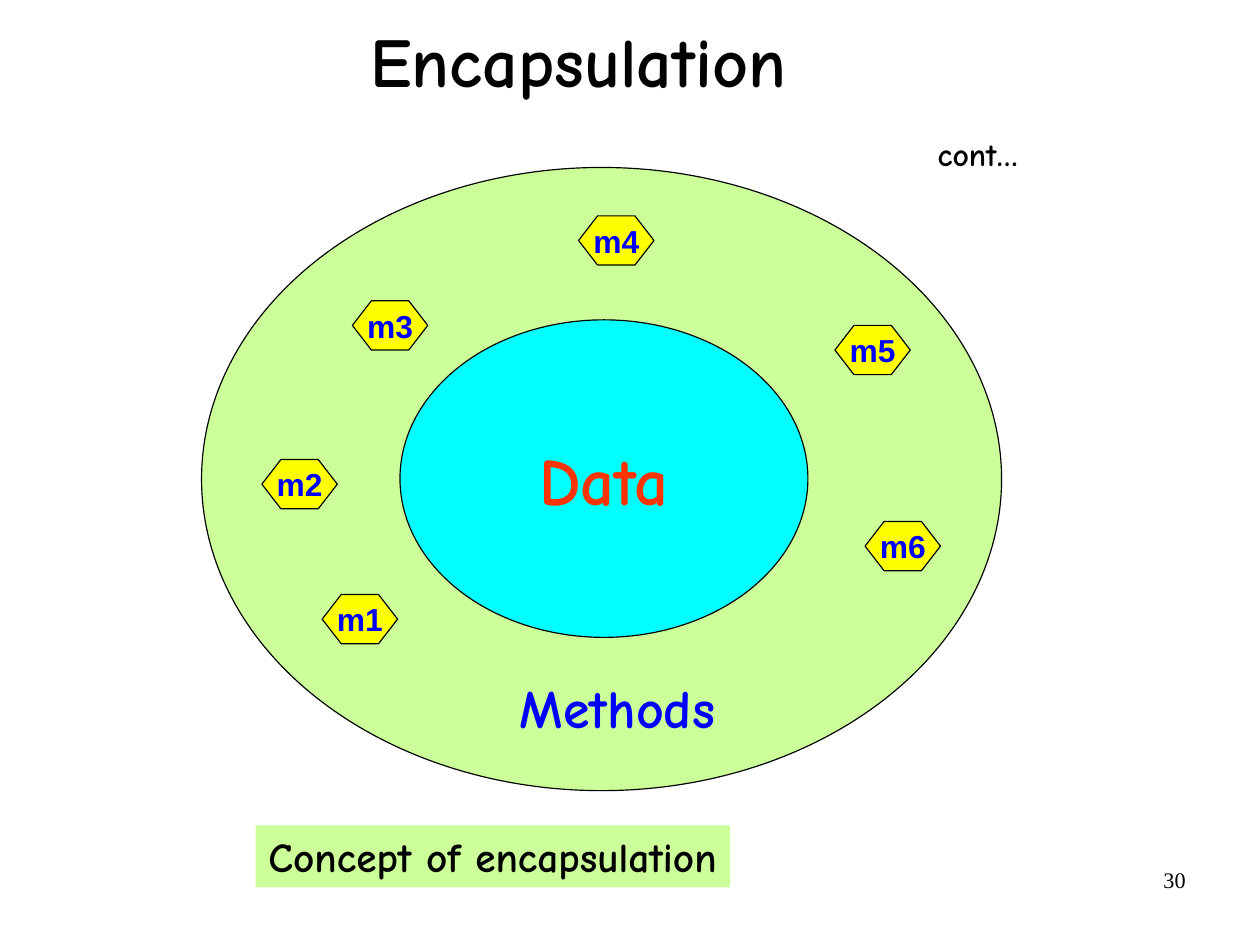
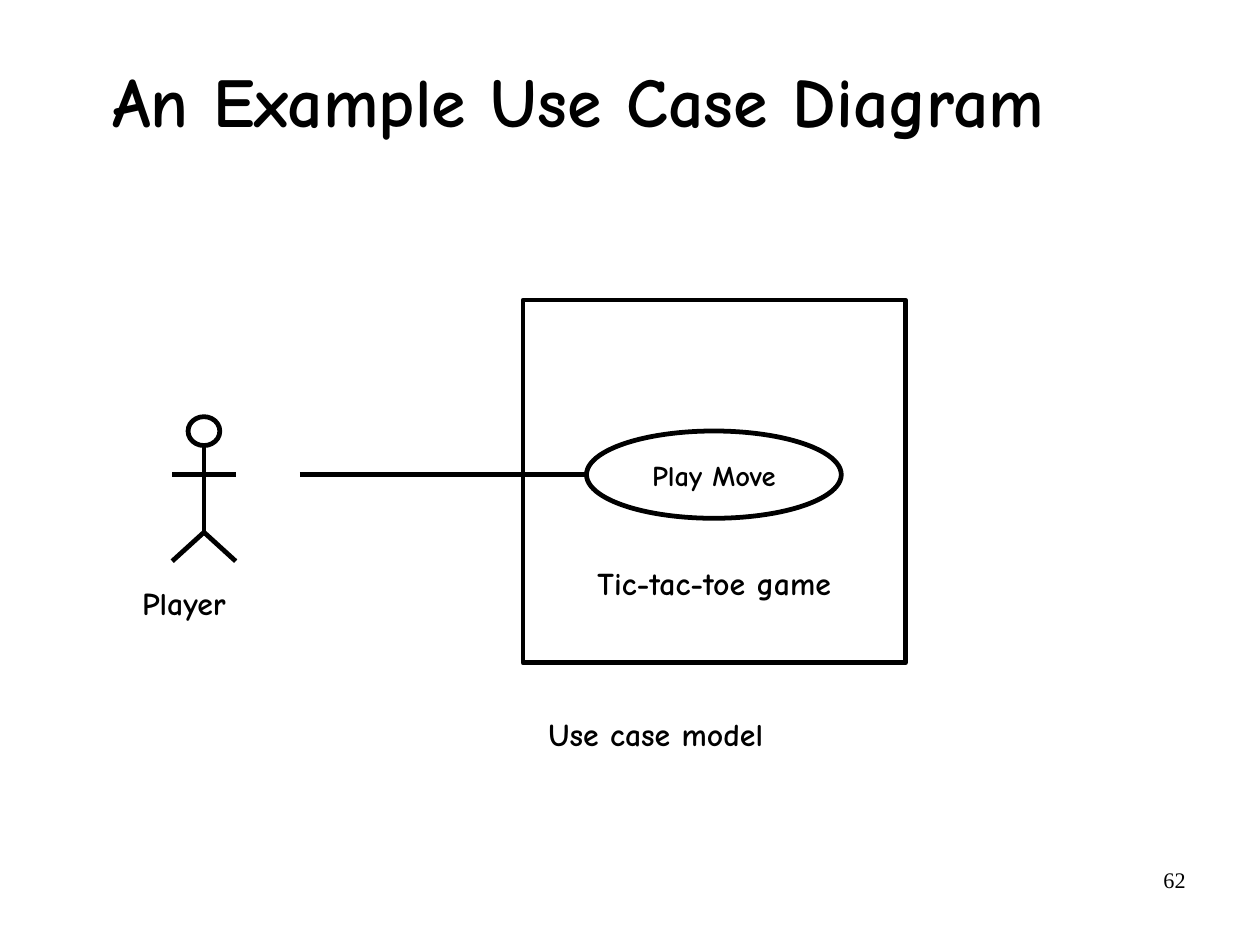
from pptx import Presentation
from pptx.dml.color import RGBColor
from pptx.enum.shapes import MSO_CONNECTOR, MSO_SHAPE
from pptx.enum.text import MSO_ANCHOR, MSO_AUTO_SIZE, PP_ALIGN
from pptx.oxml.ns import qn
from pptx.util import Pt
from lxml import etree

OVAL, HEXAGON, RECT = MSO_SHAPE.OVAL, MSO_SHAPE.HEXAGON, MSO_SHAPE.RECTANGLE
STRAIGHT = MSO_CONNECTOR.STRAIGHT
LEFT, CENTER, RIGHT = PP_ALIGN.LEFT, PP_ALIGN.CENTER, PP_ALIGN.RIGHT
MIDDLE, BOTTOM, TOP = MSO_ANCHOR.MIDDLE, MSO_ANCHOR.BOTTOM, MSO_ANCHOR.TOP
TITLE_ONLY = 5

# Shared look
SLIDE_SIZE = {"slide_width": Pt(793.75), "slide_height": Pt(595.25)}
BLACK, BLUE, RED = "000000", "0000FF", "FF3300"
LIME, CYAN, YELLOW = "CCFF99", "00FFFF", "FFFF00"
HAND, SANS, SERIF = "Comic Neue", "Arial", "Times New Roman"
THIN, THICK = 0.75, 3
TITLE_BOX = (27, 12, 675, 107)
NUMBER_BOX = (569, 541.5, 186, 41)
FRAME = {"margin_left": Pt(8), "margin_right": Pt(8),
         "margin_top": Pt(4), "margin_bottom": Pt(4),
         "auto_size": MSO_AUTO_SIZE.NONE}
NO_MARGINS = {"margin_left": 0, "margin_right": 0, "margin_top": 0, "margin_bottom": 0}


def rgb(value):
    return RGBColor.from_string(value)


def apply(target, values):
    for key, value in values.items():
        setattr(target, key, value)


def write(shape, text, size, color=BLACK, font=HAND, bold=True, align=CENTER,
          spacing=None, **frame_values):
    """Put one formatted paragraph into a shape."""
    frame = shape.text_frame
    apply(frame, {**FRAME, "vertical_anchor": MIDDLE, **frame_values})
    paragraph = frame.paragraphs[0]
    apply(paragraph, {"alignment": align, "line_spacing": spacing})
    run = paragraph.add_run()
    run.text = text
    apply(run.font, {"size": Pt(size), "name": font, "bold": bold})
    run.font.color.rgb = rgb(color)


def add_label(slide, box, text, size, **values):
    label = slide.shapes.add_textbox(*map(Pt, box))
    write(label, text, size, **{"word_wrap": True, **values})


def add_outline(slide, kind, box, fill=None, weight=None):
    """Add a preset shape; no fill or no weight leaves that part out."""
    shape = slide.shapes.add_shape(kind, *map(Pt, box))
    shape.shadow.inherit = False
    if fill:
        shape.fill.solid()
        shape.fill.fore_color.rgb = rgb(fill)
    else:
        shape.fill.background()
    if weight:
        shape.line.color.rgb = rgb(BLACK)
        shape.line.width = Pt(weight)
    else:
        shape.line.fill.background()
    return shape


def add_stroke(slide, start, end):
    stroke = slide.shapes.add_connector(STRAIGHT, *map(Pt, (*start, *end)))
    stroke.line.color.rgb = rgb(BLACK)
    stroke.line.width = Pt(THICK)
    etree.SubElement(stroke._element.spPr, qn("a:effectLst"))


def new_slide(deck, title, number, title_height=TITLE_BOX[3]):
    slide = deck.slides.add_slide(deck.slide_layouts[TITLE_ONLY])
    heading = slide.shapes.title
    places = map(Pt, (*TITLE_BOX[:3], title_height))
    apply(heading, dict(zip(("left", "top", "width", "height"), places)))
    write(heading, title, 44, spacing=0.94, word_wrap=True)
    add_label(slide, NUMBER_BOX, number, 14, font=SERIF, bold=False,
              align=RIGHT, vertical_anchor=TOP)
    return slide


def draw_capsule(slide, box):
    """Data core inside a ring of methods."""
    left, top, _, _ = box
    add_outline(slide, OVAL, box, LIME, THIN)
    add_label(slide, (left + 162, top + 317, 200, 46), "Methods", 34, color=BLUE)

    core = add_outline(slide, OVAL, (left + 125, top + 96, 257, 200), CYAN, THIN)
    write(core, "Data", 42, RED, word_wrap=False)

    # Methods, clockwise from the lower left
    spots = [(76, 269), (38, 184), (95, 84), (237.5, 30.5), (399, 99.5), (418, 223)]
    for index, (x, y) in enumerate(spots, 1):
        method = add_outline(slide, HEXAGON, (left + x, top + y, 47.5, 31), YELLOW, THIN)
        method.adjustments[0] = 0.386
        write(method, f"m{index}", 20, BLUE, SANS, word_wrap=False, **NO_MARGINS)


def draw_actor(slide, box):
    """Stick figure, five units tall, with its name below."""
    left, top, width, height = box
    unit, middle, right = height / 5, left + width / 2, left + width
    arms, hip, feet = (top + unit * step for step in (2, 4, 5))
    add_outline(slide, OVAL, (left + width / 4, top, width / 2, unit), weight=THICK)
    strokes = [((middle, top + unit), (middle, hip)),
               ((left, arms), (right, arms)),
               ((left, feet), (middle, hip)),
               ((middle, hip), (right, feet))]
    for start, end in strokes:
        add_stroke(slide, start, end)
    add_label(slide, (left - 27, feet + 10, 85, 32), "Player", 20, align=LEFT)


def draw_system(slide, box):
    """System boundary with its use case, the actor's link and the caption."""
    left, top, _, height = box
    system = add_outline(slide, RECT, box, weight=THICK)
    write(system, "Tic-tac-toe game", 20, word_wrap=False,
          vertical_anchor=BOTTOM, margin_bottom=Pt(38.5))

    case_left, case_top, case_height = left + 40, top + 82.5, 55
    use_case = add_outline(slide, OVAL, (case_left, case_top, 160.5, case_height), weight=THICK)
    write(use_case, "Play Move", 18, word_wrap=False)
    link = case_top + case_height / 2
    add_stroke(slide, (case_left - 180.5, link), (case_left, link))
    add_label(slide, (left + 8, top + height + 29, 180, 32), "Use case model", 20, align=LEFT)


def build_encapsulation(deck):
    slide = new_slide(deck, "Encapsulation", "30", title_height=57)
    add_label(slide, (566, 81, 100, 32), "cont…", 20)
    draw_capsule(slide, (127, 105.5, 504, 392.5))
    caption = add_outline(slide, RECT, (161, 520, 299, 39), LIME)
    write(caption, "Concept of encapsulation", 26, word_wrap=False)


def build_use_case(deck):
    slide = new_slide(deck, "An Example Use Case Diagram", "62")
    draw_system(slide, (329.5, 189, 241, 228.5))
    draw_actor(slide, (108.5, 262.5, 40, 91))


def main():
    deck = Presentation()
    apply(deck, SLIDE_SIZE)
    build_encapsulation(deck)
    build_use_case(deck)
    deck.save("out.pptx")


if __name__ == "__main__":
    main()
